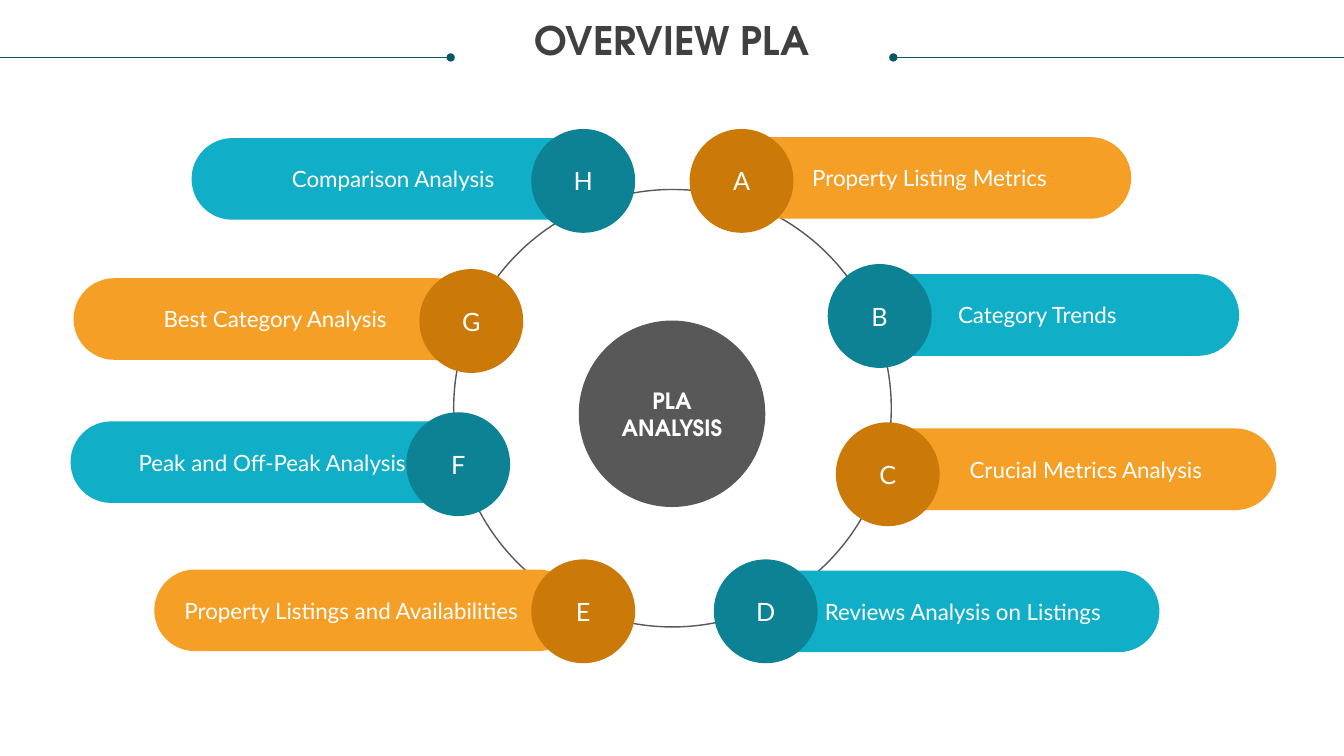
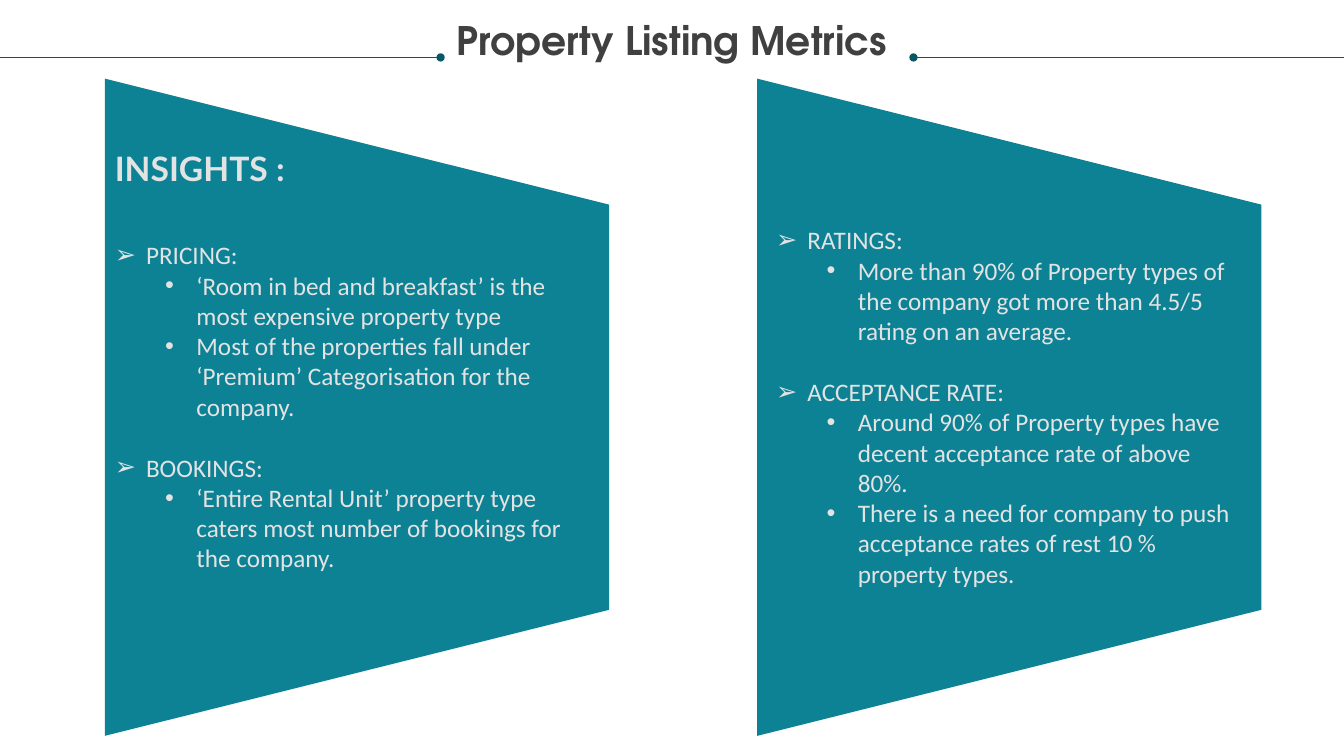
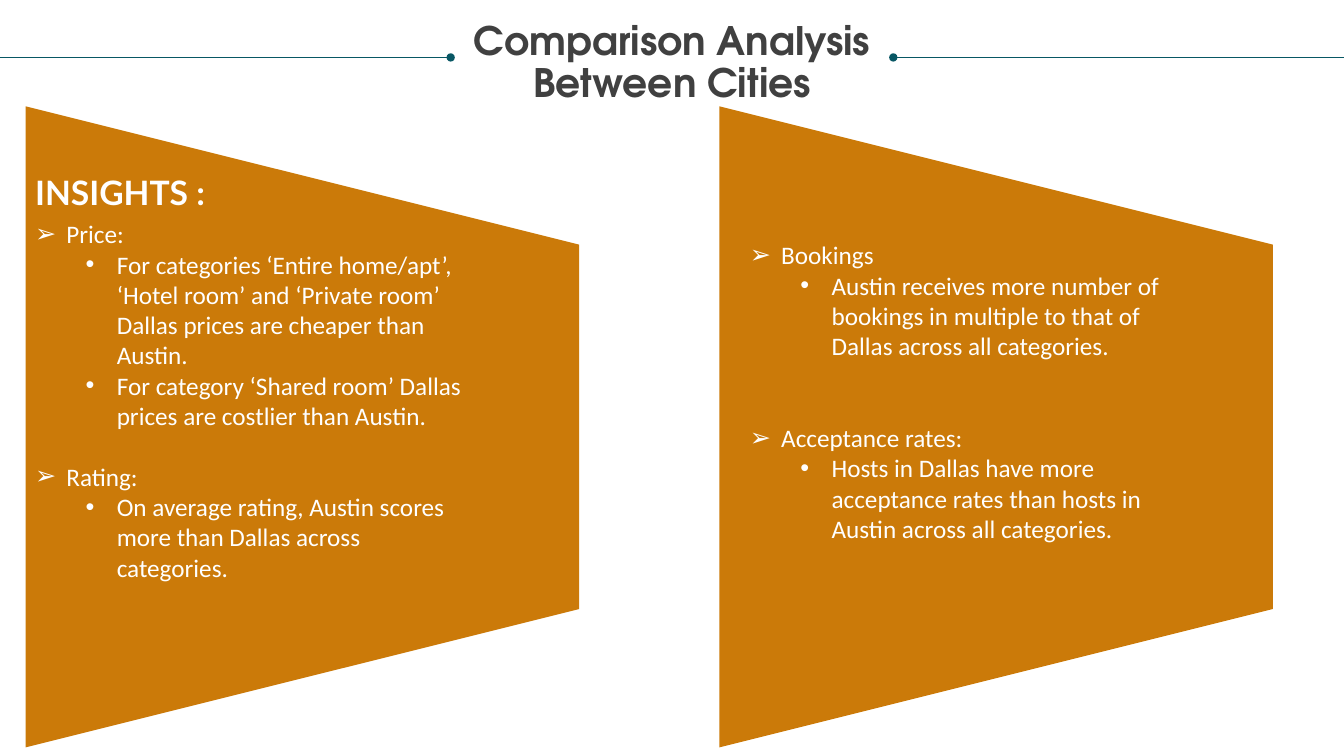
"""Build three slides: the analysis overview wheel and two insight pages."""
import pptx
import pptx.dml.color
import pptx.enum.shapes
import pptx.enum.text
import pptx.oxml.ns
import pptx.util
from lxml import etree

Inches = pptx.util.Inches
Pt = pptx.util.Pt
SHAPES = pptx.enum.shapes.MSO_SHAPE
ALIGN = pptx.enum.text.PP_ALIGN
qn = pptx.oxml.ns.qn

TITLE_FONT, LABEL_FONT, BODY_FONT = "TeX Gyre Adventor", "Lato", "Calibri"
WHITE, PALE, DARK, GREY, RULE = "FFFFFF", "E3E3E3", "404040", "585858", "085764"
TEAL, DEEP_TEAL, ORANGE, DEEP_ORANGE = "11AEC7", "0D8295", "F59F26", "CB7A09"


def paint(target, color):
    """Give a fill, or a line's fill, one solid colour."""
    target.solid()
    target.fore_color.rgb = pptx.dml.color.RGBColor.from_string(color)


def write(shape, lines, face, size, color, bold=False, align=ALIGN.LEFT):
    """Fill a shape with one paragraph per line and return the paragraphs."""
    frame = shape.text_frame
    frame.word_wrap = True
    frame.text = "\n".join(lines)
    for paragraph in frame.paragraphs:
        paragraph.alignment = align
        paragraph.font.name = face
        paragraph.font.size = Pt(size)
        paragraph.font.bold = bold
        paint(paragraph.font.fill, color)
    return frame.paragraphs


deck = pptx.Presentation()
deck.slide_width, deck.slide_height = Inches(13.33), Inches(7.5)

pages = []
for title, left_end, right_start in [
    (["OVERVIEW PLA"], 4.47, 8.86),
    (["Property Listing Metrics"], 4.37, 9.06),
    (["Comparison Analysis", "Between Cities"], 4.47, 8.86),
]:
    page = deck.slides.add_slide(deck.slide_layouts[6])
    pages.append(page)
    for start, end, dot in [(0, left_end, "tailEnd"), (right_start, 13.33, "headEnd")]:
        rule = page.shapes.add_connector(
            pptx.enum.shapes.MSO_CONNECTOR.STRAIGHT,
            Inches(start), Inches(0.57), Inches(end), Inches(0.57))
        rule.line.width = Pt(0.5)
        paint(rule.line.fill, RULE)
        properties = rule._element.spPr
        etree.SubElement(properties.find(qn("a:ln")), qn("a:" + dot), type="oval")
        etree.SubElement(properties, qn("a:effectLst"))
    box = page.shapes.add_textbox(Inches(0.25), Inches(0.21), Inches(12.83), Inches(0.85))
    frame = box.text_frame
    frame.margin_left = frame.margin_top = frame.margin_right = frame.margin_bottom = 0
    for paragraph in write(box, title, TITLE_FONT, 28, DARK, True, ALIGN.CENTER):
        paragraph.line_spacing = 0.9

overview, listing, comparison = pages

ring = overview.shapes.add_shape(
    SHAPES.OVAL, Inches(4.5), Inches(1.88), Inches(4.34), Inches(4.34))
ring.shadow.inherit = False
ring.fill.background()
ring.line.width = Pt(1)
paint(ring.line.fill, GREY)

hub = overview.shapes.add_shape(
    SHAPES.OVAL, Inches(5.74), Inches(3.18), Inches(1.85), Inches(1.85))
hub.shadow.inherit = False
hub.line.fill.background()
paint(hub.fill, GREY)
write(hub, ["PLA", "ANALYSIS"], TITLE_FONT, 16, WHITE, True, ALIGN.CENTER)

topics = [
    ("A", "Property Listing Metrics", 7.22, 1.36, 4, 6.84, 1.28, 0),
    ("B", "Category Trends", 8.29, 2.72, 4, 8.21, 2.62, 0),
    ("C", "Crucial Metrics Analysis", 8.66, 4.25, 4, 8.29, 4.19, 0.11),
    ("D", "Reviews Analysis on Listings", 7.5, 5.66, 4, 7.08, 5.55, 0.05),
    ("E", "Property Listings and Availabilities", 1.53, 5.65, 4.21, 5.27, 5.55, -0.15),
    ("F", "Peak and Off-Peak Analysis", 0.7, 4.18, 4, 4.03, 4.09, 0),
    ("G", "Best Category Analysis", 0.73, 2.76, 4, 4.16, 2.67, 0),
    ("H", "Comparison Analysis", 1.9, 1.37, 4, 5.27, 1.28, 0),
]
for index, (letter, label, left, top, width, dot_left, dot_top, shift) in enumerate(topics):
    light, deep = [(ORANGE, DEEP_ORANGE), (TEAL, DEEP_TEAL)][index % 2]
    pill = overview.shapes.add_shape(
        SHAPES.ROUNDED_RECTANGLE, Inches(left), Inches(top), Inches(width), Inches(0.81))
    pill.adjustments[0] = 0.5
    pill.text_frame.margin_left = Inches(0.1 + max(2 * shift, 0))
    pill.text_frame.margin_right = Inches(0.1 + max(-2 * shift, 0))
    badge = overview.shapes.add_shape(
        SHAPES.OVAL, Inches(dot_left), Inches(dot_top), Inches(1.03), Inches(1.03))
    for shape, text, size, color in [(pill, label, 16, light), (badge, letter, 18, deep)]:
        shape.shadow.inherit = False
        shape.line.fill.background()
        paint(shape.fill, color)
        write(shape, [text], LABEL_FONT, size, WHITE, align=ALIGN.CENTER)

panels = [
    (listing, DEEP_TEAL, PALE, (0.28, 1.54, 6.52, 5), (1.04, 2.33, 4.82, 3.74), 1.42, 22, [
        ("PRICING:", [
            "‘Room in bed and breakfast’ is the most expensive property type",
            "Most of the properties fall under ‘Premium’ Categorisation for the company."]),
        ("BOOKINGS:", [
            "‘Entire Rental Unit’ property type caters most number of bookings for the company."]),
    ]),
    (listing, DEEP_TEAL, PALE, (6.75, 1.54, 6.52, 5), (7.6, 2.18, 4.82, 4.04), None, 22, [
        ("RATINGS:", [
            "More than 90% of Property types of the company got more than 4.5/5 rating "
            "on an average."]),
        ("ACCEPTANCE RATE:", [
            "Around 90% of Property types have decent acceptance rate of above 80%.",
            "There is a need for company to push acceptance rates of rest 10 % property types."]),
    ]),
    (comparison, DEEP_ORANGE, WHITE, (-0.18, 1.49, 6.36, 5.49), (0.25, 2.12, 4.55, 4.04), 1.66, 22, [
        ("Price:", [
            "For categories ‘Entire home/apt’, ‘Hotel room’ and ‘Private room’ Dallas prices "
            "are cheaper than Austin.",
            "For category ‘Shared room’ Dallas prices are costlier than Austin."]),
        ("Rating:", [
            "On average rating, Austin scores more than Dallas across categories."]),
    ]),
    (comparison, DEEP_ORANGE, WHITE, (6.7, 1.49, 6.36, 5.49), (7.34, 2.33, 4.63, 3.43), None, 44, [
        ("Bookings", [
            "Austin receives more number of bookings in multiple to that of Dallas across "
            "all categories."]),
        ("Acceptance rates:", [
            "Hosts in Dallas have more acceptance rates than hosts in Austin across "
            "all categories."]),
    ]),
]
for page, color, ink, panel_area, text_area, heading_top, gap, sections in panels:
    panel = page.shapes.add_shape(SHAPES.TRAPEZOID, *map(Inches, panel_area))
    panel.rotation = 90
    panel.shadow.inherit = False
    panel.line.fill.background()
    paint(panel.fill, color)

    if heading_top:
        heading = page.shapes.add_textbox(
            Inches(text_area[0]), Inches(heading_top), Inches(2.2), Inches(0.5))
        write(heading, ["INSIGHTS :"], LABEL_FONT, 24, ink, True)

    entries = []
    for topic, points in sections:
        entries.append((topic, 0))
        entries.extend((point, 1) for point in points)
    box = page.shapes.add_textbox(*map(Inches, text_area))
    paragraphs = write(box, [text for text, level in entries], BODY_FONT, 18, ink)
    for index, (paragraph, (text, level)) in enumerate(zip(paragraphs, entries)):
        paragraph.level = level
        if index and level == 0:
            paragraph.space_before = Pt(gap)
        properties = paragraph._p.get_or_add_pPr()
        properties.set("marL", str(Inches([0.31, 0.81][level])))
        properties.set("indent", str(Inches(-0.31)))
        font = properties.find(qn("a:defRPr"))
        font.addprevious(etree.Element(qn("a:buFont"), typeface="Arial"))
        font.addprevious(etree.Element(qn("a:buChar"), char="➢•"[level]))

deck.save("out.pptx")
